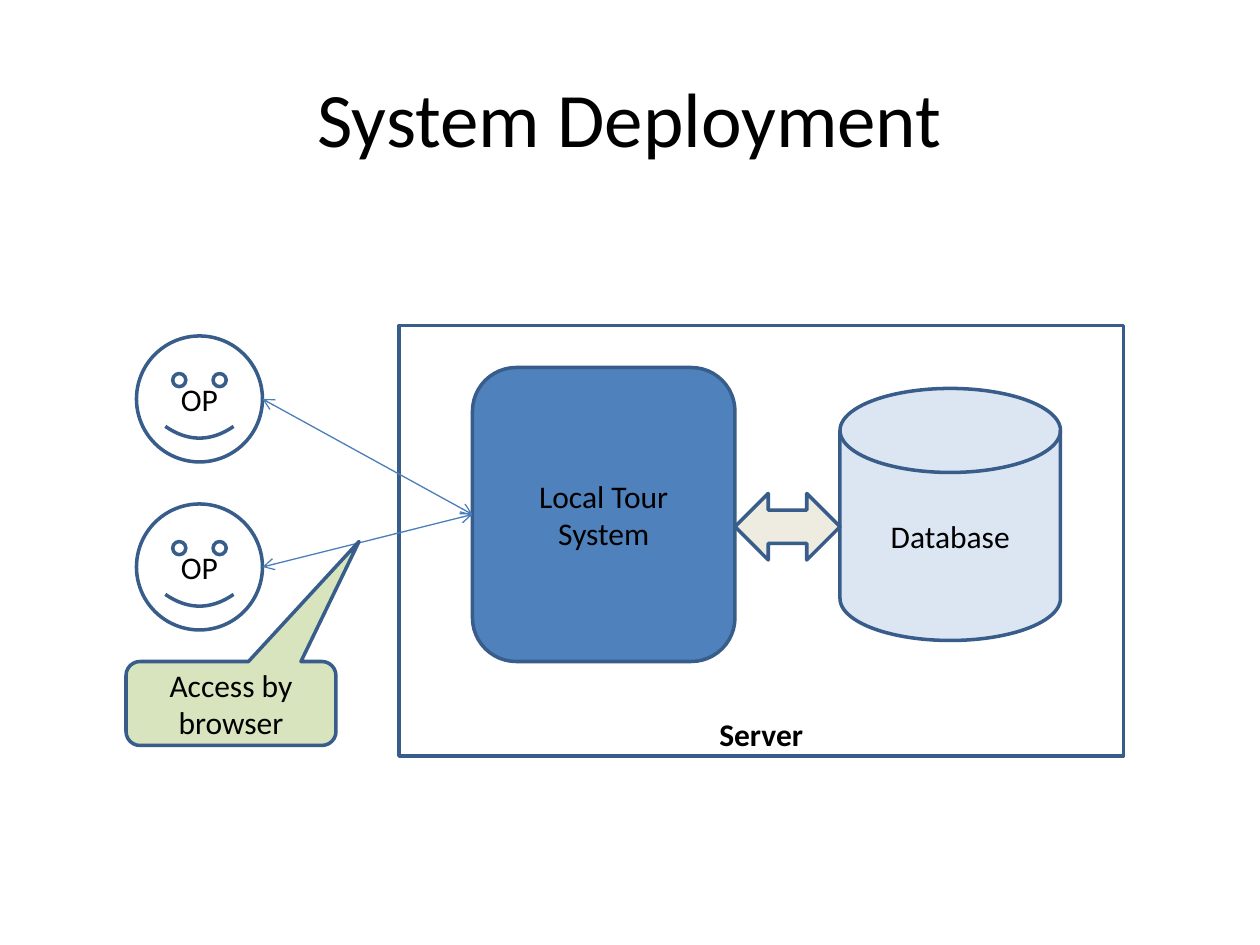
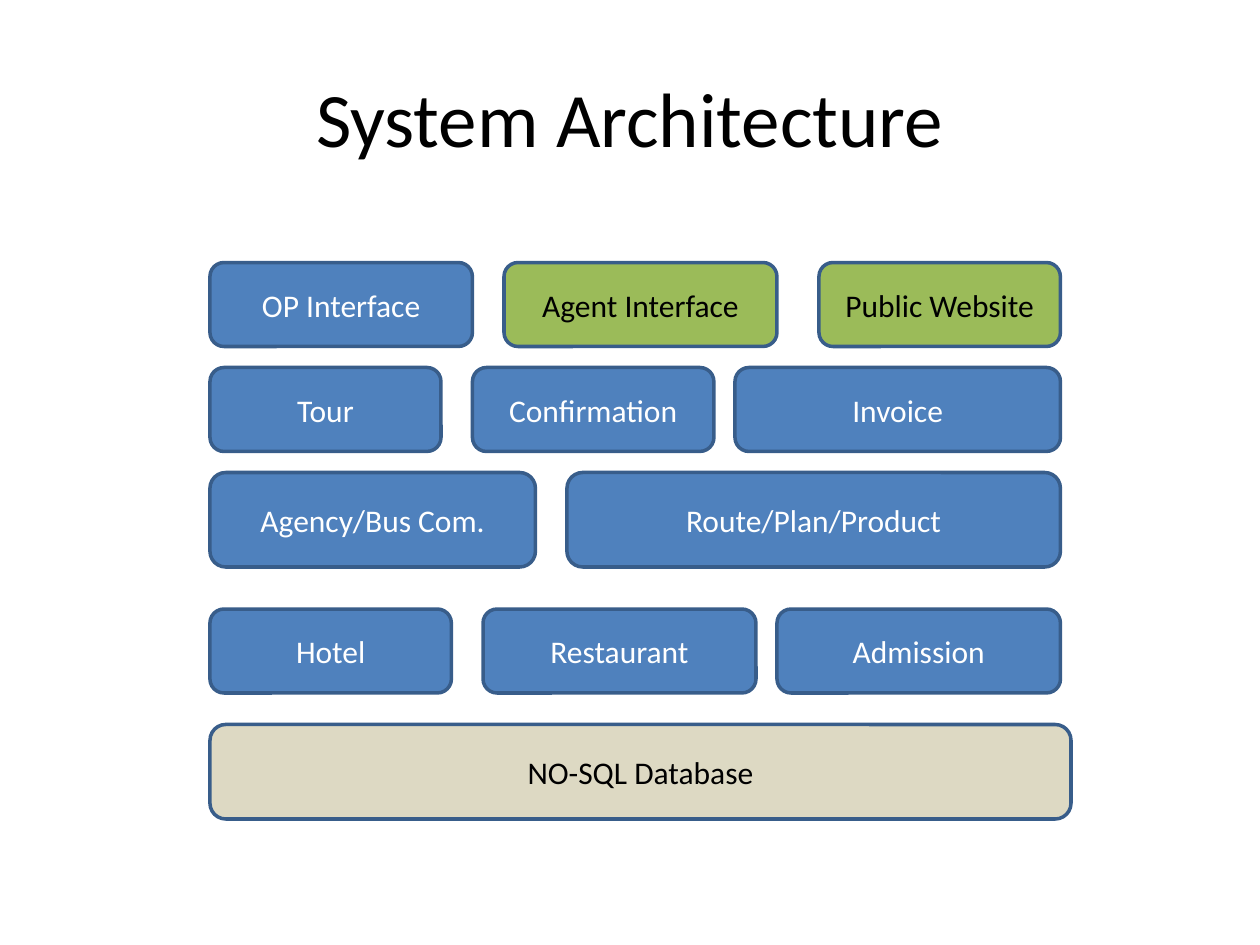
from lxml.etree import SubElement
from pptx import Presentation
from pptx.dml.color import RGBColor
from pptx.enum.shapes import MSO_CONNECTOR, MSO_SHAPE
from pptx.enum.text import MSO_ANCHOR, PP_ALIGN
from pptx.oxml.ns import qn
from pptx.util import Pt

BLACK = RGBColor(0x00, 0x00, 0x00)
WHITE = RGBColor(0xFF, 0xFF, 0xFF)
BLUE = RGBColor(0x4F, 0x81, 0xBD)
OUTLINE_BLUE = RGBColor(0x38, 0x5D, 0x8A)
CONNECTOR_BLUE = RGBColor(0x4A, 0x7E, 0xBB)
PALE_BLUE = RGBColor(0xDC, 0xE6, 0xF2)
GREEN = RGBColor(0x9B, 0xBB, 0x59)
PALE_GREEN = RGBColor(0xD7, 0xE4, 0xBD)
TAN = RGBColor(0xDD, 0xD9, 0xC3)
PALE_TAN = RGBColor(0xEE, 0xEC, 0xE1)

LABEL_FONT = {"name": "Calibri", "size": Pt(18)}
TITLE_FONT = {"name": "Calibri", "size": Pt(44)}
FRAME_FORMAT = {
    "word_wrap": True,
    "vertical_anchor": MSO_ANCHOR.MIDDLE,
    "margin_left": Pt(7.2),
    "margin_right": Pt(7.2),
    "margin_top": Pt(3.6),
    "margin_bottom": Pt(3.6),
}

ROUNDED = MSO_SHAPE.ROUNDED_RECTANGLE
ALTERNATE = MSO_SHAPE.FLOWCHART_ALTERNATE_PROCESS

# Each layer: top, height, blocks of (label, left, width, fill, text colour, kind)
LAYERS = [
    (150, 48, [("OP Interface", 120, 150, BLUE, WHITE, ROUNDED),
               ("Agent Interface", 288, 156, GREEN, BLACK, ROUNDED),
               ("Public Website", 468, 138, GREEN, BLACK, ROUNDED)]),
    (210, 48, [("Tour", 120, 132, BLUE, WHITE, ROUNDED),
               ("Confirmation", 270, 138, BLUE, WHITE, ROUNDED),
               ("Invoice", 420, 186, BLUE, WHITE, ROUNDED)]),
    (270, 54, [("Agency/Bus Com.", 120, 186, BLUE, WHITE, ALTERNATE),
               ("Route/Plan/Product", 324, 282, BLUE, WHITE, ROUNDED)]),
    (348, 48, [("Hotel", 120, 138, BLUE, WHITE, ROUNDED),
               ("Restaurant", 276, 156, BLUE, WHITE, ROUNDED),
               ("Admission", 444, 162, BLUE, WHITE, ROUNDED)]),
    (414, 54, [("NO-SQL Database", 120, 492, TAN, BLACK, ROUNDED)]),
]


def apply_format(target, values):
    for name, value in values.items():
        setattr(target, name, value)


def write_text(shape, text, color, font_format, frame_format=None):
    frame = shape.text_frame
    apply_format(frame, FRAME_FORMAT | (frame_format or {}))
    paragraph = frame.paragraphs[0]
    paragraph.alignment = PP_ALIGN.CENTER
    run = paragraph.add_run()
    run.text = text
    apply_format(run.font, font_format)
    run.font.color.rgb = color


def add_titled_slide(presentation, title):
    slide = presentation.slides.add_slide(presentation.slide_layouts[6])
    box = slide.shapes.add_textbox(Pt(36), Pt(21.6), Pt(648), Pt(90))
    write_text(box, title, BLACK, TITLE_FONT)
    return slide


def add_block(slide, kind, bounds, fill=None, text="", color=BLACK,
              font_format=None, frame_format=None):
    """Add an outlined shape; without a fill colour it stays see-through."""
    shape = slide.shapes.add_shape(kind, *map(Pt, bounds))
    shape.shadow.inherit = False
    if fill is None:
        shape.fill.background()
    else:
        shape.fill.solid()
        shape.fill.fore_color.rgb = fill
    shape.line.color.rgb = OUTLINE_BLUE
    shape.line.width = Pt(2)
    if text:
        write_text(shape, text, color, LABEL_FONT | (font_format or {}), frame_format)
    return shape


def add_access_arrow(slide, operator, system):
    """Draw a two-headed arrow from an operator to the system's left side."""
    connector = slide.shapes.add_connector(
        MSO_CONNECTOR.STRAIGHT,
        operator.left + operator.width, operator.top + operator.height // 2,
        system.left, system.top + system.height // 2)
    connector.end_connect(system, 1)
    connector.line.color.rgb = CONNECTOR_BLUE
    connector.line.width = Pt(0.75)
    line = connector.line._get_or_add_ln()
    for end in ("a:headEnd", "a:tailEnd"):
        SubElement(line, qn(end), type="arrow")
    SubElement(connector._element.spPr, qn("a:effectLst"))


def build_deployment(presentation):
    slide = add_titled_slide(presentation, "System Deployment")
    add_block(slide, MSO_SHAPE.FLOWCHART_PROCESS, (228, 186, 414, 246), text="Server",
              font_format={"bold": True},
              frame_format={"vertical_anchor": MSO_ANCHOR.BOTTOM, "margin_bottom": Pt(2)})
    system = add_block(slide, ALTERNATE, (270, 210, 150, 168), BLUE, "Local Tour System")
    add_block(slide, MSO_SHAPE.FLOWCHART_MAGNETIC_DISK, (480, 222, 126, 144),
              PALE_BLUE, "Database")
    for top in (192, 288):
        operator = add_block(slide, MSO_SHAPE.SMILEY_FACE, (78, top, 72, 72), text="OP")
        add_access_arrow(slide, operator, system)
    add_block(slide, MSO_SHAPE.LEFT_RIGHT_ARROW, (420, 282, 60, 38), PALE_TAN)
    callout = add_block(slide, MSO_SHAPE.ROUNDED_RECTANGULAR_CALLOUT, (72, 378, 120, 48),
                        PALE_GREEN, "Access by browser")
    callout.adjustments[0] = 0.61
    callout.adjustments[1] = -1.93


def build_architecture(presentation):
    slide = add_titled_slide(presentation, "System Architecture")
    for top, height, blocks in LAYERS:
        for label, left, width, fill, color, kind in blocks:
            add_block(slide, kind, (left, top, width, height), fill, label, color)


def main():
    presentation = Presentation()
    presentation.slide_width = Pt(720)
    presentation.slide_height = Pt(540)
    build_deployment(presentation)
    build_architecture(presentation)
    presentation.save("out.pptx")


if __name__ == "__main__":
    main()
